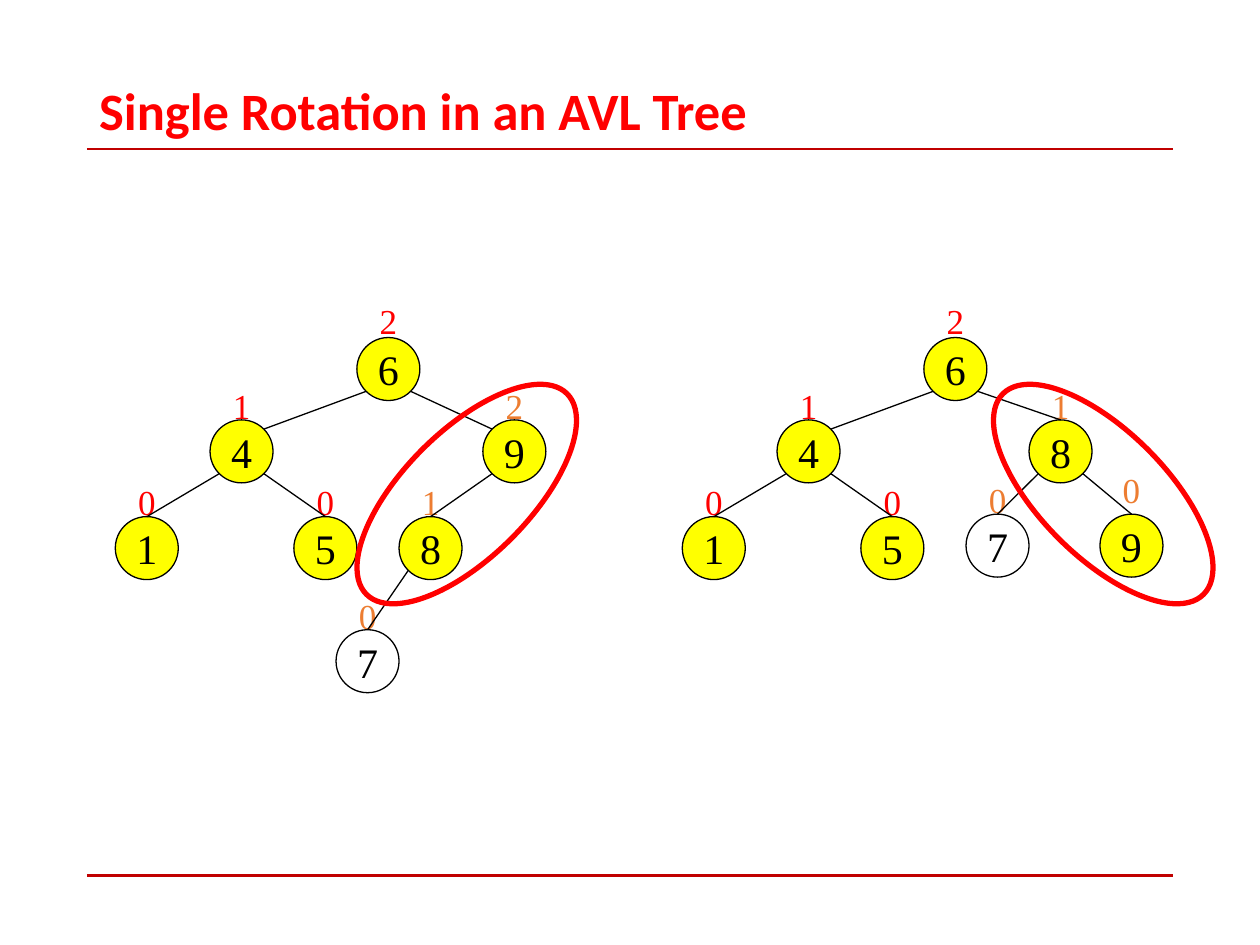
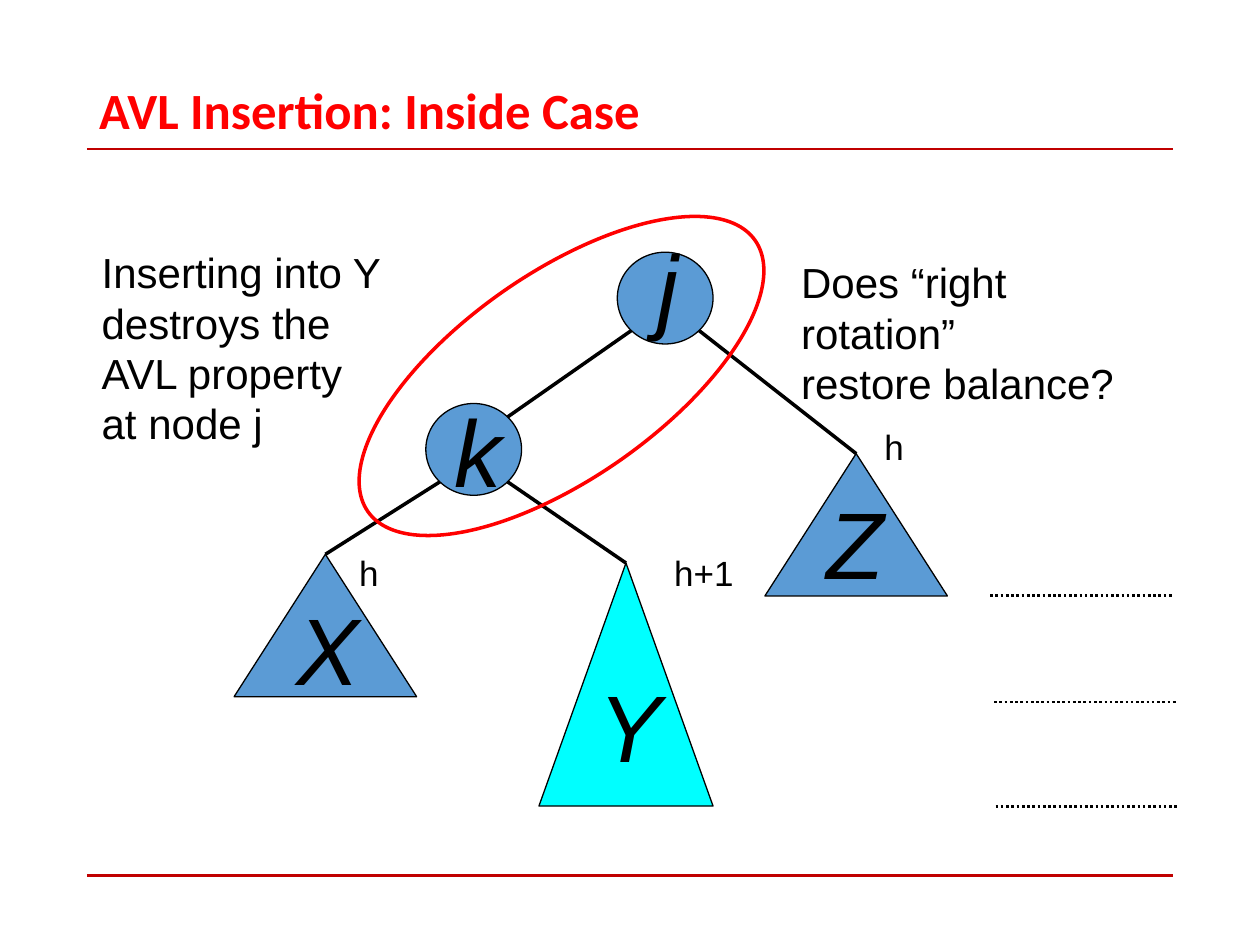
from lxml import etree
from pptx import Presentation, util as u
from pptx.dml.color import RGBColor
from pptx.enum import dml, shapes, text
from pptx.oxml.ns import qn

COLORS = {"rule": "C00000", "red": "FF0000", "orange": "ED7D31", "yellow": "FFFF00",
          "blue": "5B9BD5", "cyan": "00FFFF", "black": "000000"}
TITLE = {"name": "Calibri", "bold": True}
HEIGHT = {"name": "Times New Roman", "size": u.Pt(20)}
KEY = {"name": "Times New Roman", "size": u.Pt(24)}
NOTE = {"name": "Arial", "size": u.Pt(24)}
SMALL = {"name": "Arial", "size": u.Pt(20)}
LETTER = {"name": "Arial", "size": u.Pt(54), "italic": True}

OVAL = shapes.MSO_SHAPE.OVAL
TRIANGLE = shapes.MSO_SHAPE.ISOSCELES_TRIANGLE
CENTER = text.PP_ALIGN.CENTER
DIAGONAL = 0.354  # 45-degree point on an ellipse, as a share of its size


def rgb(name):
    return RGBColor.from_string(COLORS[name])


class Deck:
    def __init__(self):
        self.prs = Presentation()
        self.prs.slide_width, self.prs.slide_height = u.Cm(25.4), u.Cm(19.05)
        self.s = None

    def slide(self, title, size):
        """Start a slide with its title and the two rules."""
        self.s = self.prs.slides.add_slide(self.prs.slide_layouts[6])
        for y in (3, 17.65):
            self.line(1.75, y, 23.65, y, "rule", 1.5)
        self.text(1.75, 1.55, 21.92, 1.47, [title], {**TITLE, "size": u.Pt(size)}, "red", wrap=True,
                  frame={"vertical_anchor": text.MSO_ANCHOR.MIDDLE}, para={"line_spacing": 0.9})

    def fill_text(self, tf, lines, font, color, frame, para):
        for name, value in frame.items():
            setattr(tf, name, value)
        for i, line in enumerate(lines):
            p = tf.add_paragraph() if i else tf.paragraphs[0]
            for name, value in para.items():
                setattr(p, name, value)
            r = p.add_run()
            r.text = line
            for name, value in font.items():
                setattr(r.font, name, value)
            r.font.color.rgb = rgb(color)

    def text(self, x, y, w, h, lines, font, color="black", wrap=False, frame=None, para=None):
        sp = self.s.shapes.add_textbox(u.Cm(x), u.Cm(y), u.Cm(w), u.Cm(h))
        frame = frame or {"auto_size": text.MSO_AUTO_SIZE.SHAPE_TO_FIT_TEXT}
        self.fill_text(sp.text_frame, lines, font, color, {**frame, "word_wrap": wrap}, para or {})

    def shape(self, kind, x, y, w, h, fill=None, line="black", width=0.75, turn=0):
        """Add a shape centred on x, y."""
        sp = self.s.shapes.add_shape(kind, u.Cm(x - w / 2), u.Cm(y - h / 2), u.Cm(w), u.Cm(h))
        sp.shadow.inherit = False
        sp.rotation = turn
        if fill:
            sp.fill.solid()
            sp.fill.fore_color.rgb = rgb(fill)
        else:
            sp.fill.background()
        sp.line.color.rgb = rgb(line)
        sp.line.width = u.Pt(width)
        return sp

    def node(self, key, x, y, fill):
        sp = self.shape(OVAL, x, y, 1.27, 1.27, fill)
        self.fill_text(sp.text_frame, [key], KEY, "black",
                       {"word_wrap": False, "vertical_anchor": text.MSO_ANCHOR.MIDDLE},
                       {"alignment": CENTER})
        return sp

    def line(self, x1, y1, x2, y2, color="black", width=0.75, dash=None):
        c = self.s.shapes.add_connector(shapes.MSO_CONNECTOR.STRAIGHT,
                                        u.Cm(x1), u.Cm(y1), u.Cm(x2), u.Cm(y2))
        c.line.color.rgb = rgb(color)
        c.line.width = u.Pt(width)
        if dash:
            c.line.dash_style = dash
        etree.SubElement(c._element.spPr, qn("a:effectLst"))
        return c

    def edge(self, parent, child, width=0.75, to_top=True):
        """Run from the parent's lower diagonal to the child's top or upper diagonal."""
        def corner(sp, side, down):
            return ((sp.left + sp.width * (0.5 + side * DIAGONAL)) / u.Cm(1),
                    (sp.top + sp.height * (0.5 + down * DIAGONAL)) / u.Cm(1))

        side = 1 if child.left + child.width / 2 > parent.left + parent.width / 2 else -1
        c = self.line(*corner(parent, side, 1), *corner(child, -side, -1), width=width)
        if to_top:
            c.end_connect(child, 0)


def avl_tree(d, dx, nodes, edges, side_edges):
    """Draw nodes given as key: (x, y, fill, height, height colour, label lift)."""
    placed = {}
    for key, (x, y, fill, height, color, lift) in nodes.items():
        d.text(x + dx - 0.44, y - lift, 0.88, 1.11, [height], HEIGHT, color,
               para={"alignment": CENTER})
        placed[key] = d.node(key, x + dx, y, fill)
    for a, b in edges:
        d.edge(placed[a], placed[b], to_top=a + b not in side_edges)


def rotation_slide(d):
    d.slide("Single Rotation in an AVL Tree", 30)
    shared = {"6": (7.83, 7.44, "yellow", "2", "red", 1.52),
              "4": (4.87, 9.1, "yellow", "1", "red", 1.48),
              "1": (2.96, 11.05, "yellow", "0", "red", 1.48),
              "5": (6.56, 11.05, "yellow", "0", "red", 1.48)}
    before = {"9": (10.37, 9.1, "yellow", "2", "orange", 1.48),
              "8": (8.68, 11.05, "yellow", "1", "orange", 1.48),
              "7": (7.41, 13.33, None, "0", "orange", 1.48)}
    after = {"8": (9.95, 9.1, "yellow", "1", "orange", 1.48),
             "9": (11.38, 11, "yellow", "0", "orange", 1.68),
             "7": (8.68, 11, None, "0", "orange", 1.48)}
    avl_tree(d, 0, {**shared, **before}, ["64", "69", "41", "45", "98", "87"], ["64", "69"])
    avl_tree(d, 11.43, {**shared, **after}, ["64", "68", "41", "45", "89", "87"], ["64"])
    # Rings around the rotated pair
    for x, turn in ((9.41, 315), (22.24, 45)):
        d.shape(OVAL, x, 9.96, 5.72, 2.54, line="red", width=3, turn=turn)


def inside_case_slide(d):
    d.slide("AVL Insertion: Inside Case", 29)
    # Nodes and subtrees
    j, k = (d.shape(OVAL, x, y, 1.93, 1.85, "blue") for x, y in ((13.41, 6.01), (9.55, 9.06)))
    subtrees = [d.shape(TRIANGLE, *box) for box in (
        (6.56, 12.61, 3.68, 2.87, "blue"),
        (12.62, 13.8, 3.51, 4.9, "cyan"),
        (17.26, 10.58, 3.68, 2.87, "blue"))]
    d.edge(j, k, 2, to_top=False)
    for parent, subtree in zip((k, k, j), subtrees):
        d.edge(parent, subtree, 2)
    for name, x, y in (("j", 13, 4.47), ("k", 8.92, 7.8), ("X", 5.72, 11.79),
                       ("Y", 11.81, 13.34), ("Z", 16.41, 9.65)):
        d.text(x, y, 1.18, 2.54, [name], LETTER, wrap=True, para={"space_before": u.Pt(33.8)})
    # Level marks
    for x, y in ((19.96, 12.01), (20.04, 14.15), (20.07, 16.26)):
        d.line(x, y, x + 3.68, y, width=1.5, dash=dml.MSO_LINE.ROUND_DOT)
    d.shape(OVAL, 11.32, 7.58, 9.53, 4.14, line="red", width=2, turn=325)
    # Notes and subtree heights
    d.text(1.8, 4.85, 6.38, 4.32,
           ["Inserting into Y", "destroys the", "AVL property", "at node j"], NOTE)
    d.text(15.9, 5.05, 7.98, 2.29, ["Does “right rotation”", "restore balance?"], NOTE)
    for label, x, y, w in (("h", 17.58, 8.46, 0.9), ("h+1", 13.34, 11, 1.7), ("h", 6.99, 11, 0.9)):
        d.text(x, y, w, 1.12, [label], SMALL)


def main():
    d = Deck()
    rotation_slide(d)
    inside_case_slide(d)
    d.prs.save("out.pptx")


if __name__ == "__main__":
    main()
